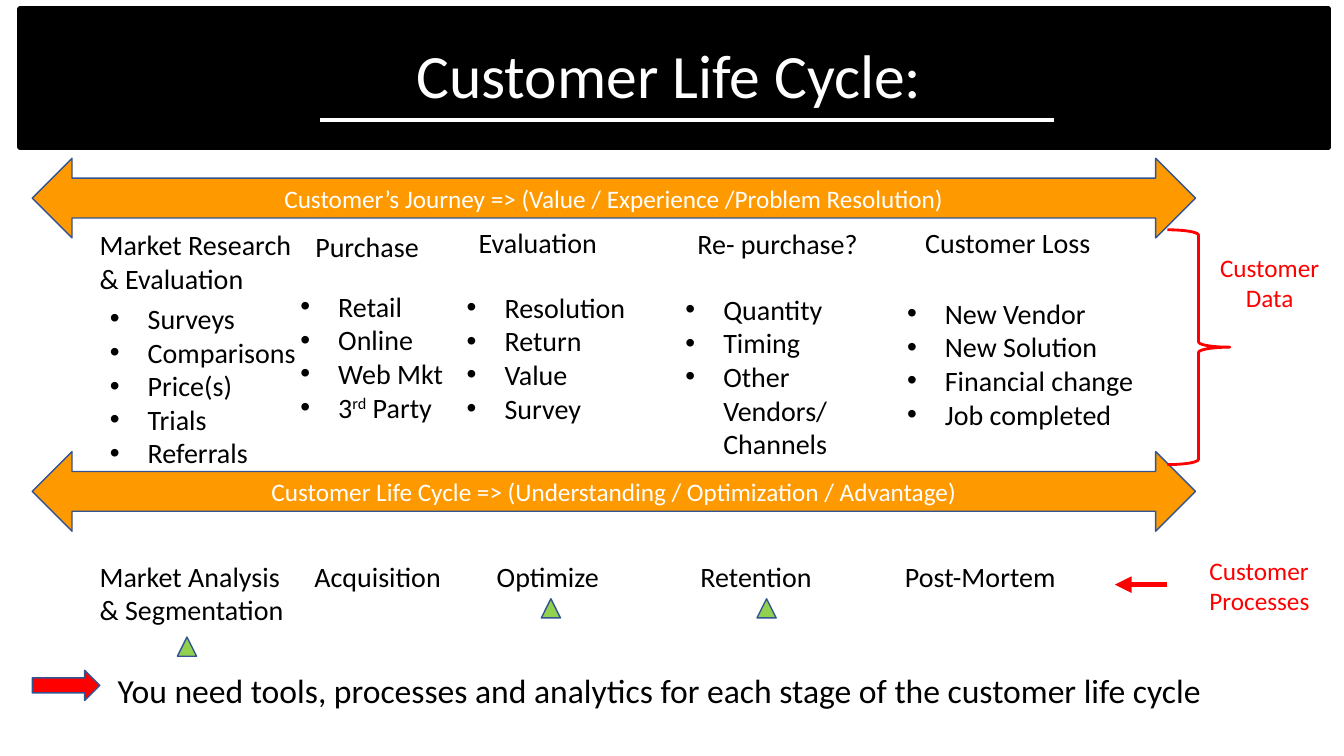
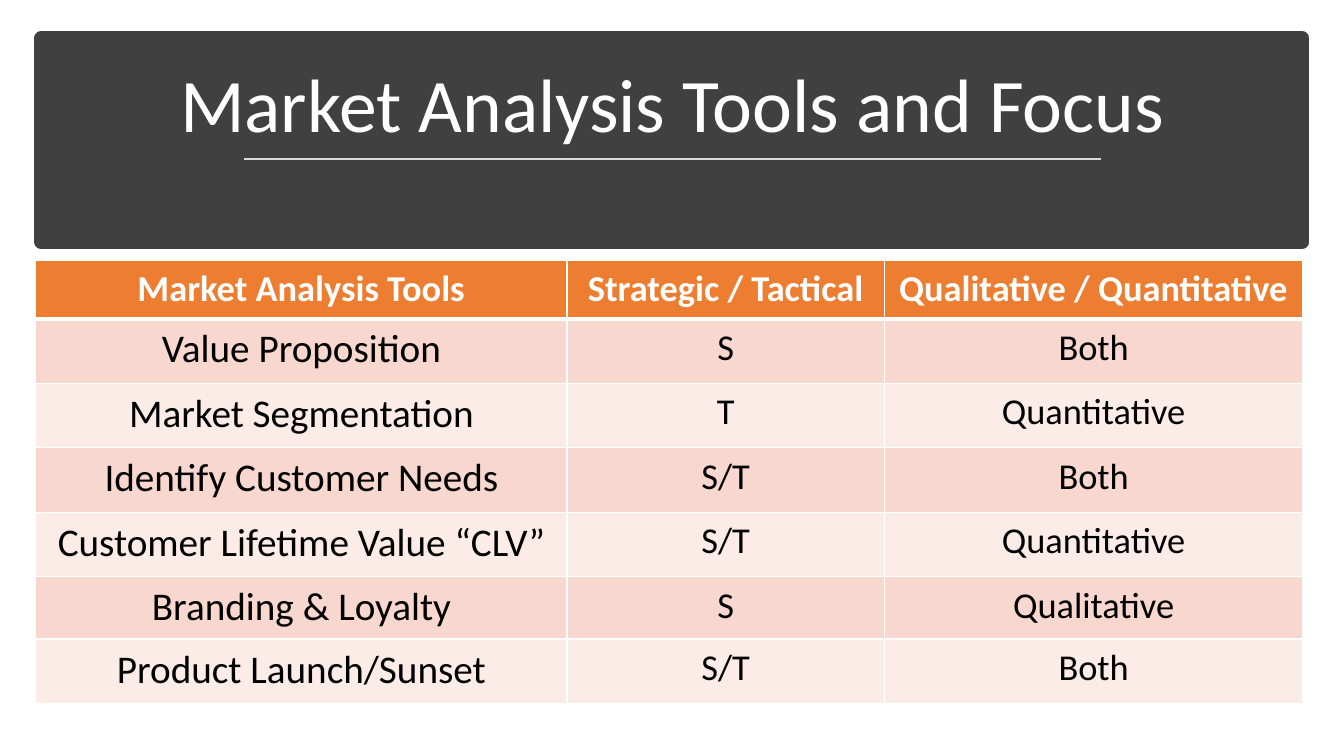
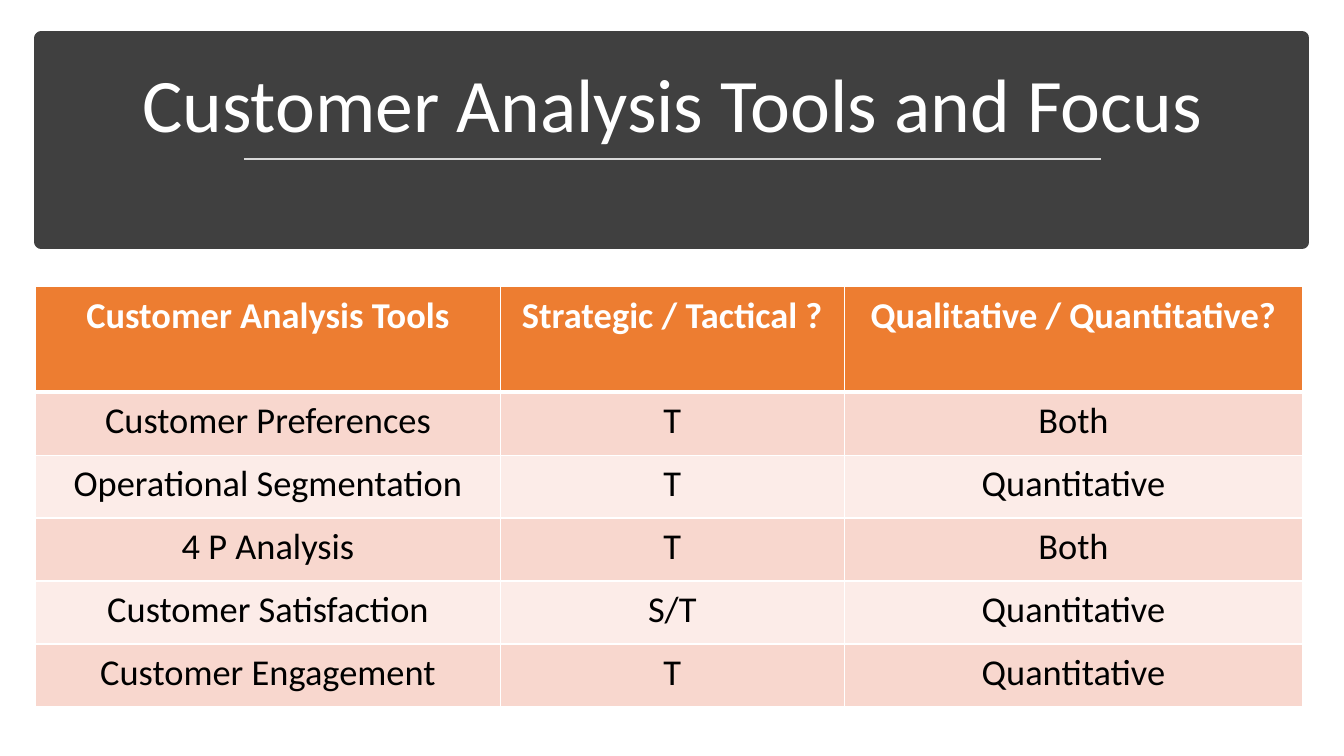
import typing

import pptx
import pptx.dml.color
import pptx.enum.shapes
import pptx.enum.text
import pptx.oxml.ns
import pptx.oxml.xmlchemy
import pptx.util
from lxml import etree

RGB = pptx.dml.color.RGBColor
SHAPE = pptx.enum.shapes.MSO_SHAPE
ALIGN = pptx.enum.text.PP_ALIGN
ANCHOR = pptx.enum.text.MSO_ANCHOR
qn = pptx.oxml.ns.qn

BLACK = RGB(0x00, 0x00, 0x00)
WHITE = RGB(0xFF, 0xFF, 0xFF)
CHARCOAL = RGB(0x40, 0x40, 0x40)
SILVER = RGB(0xD9, 0xD9, 0xD9)
AMBER = RGB(0xFF, 0x99, 0x00)
OUTLINE = RGB(0x32, 0x54, 0x91)
RED = RGB(0xFF, 0x00, 0x00)
GREEN = RGB(0x92, 0xD0, 0x50)
HEADER = RGB(0xED, 0x7D, 0x31)
BANDS = (RGB(0xF8, 0xD7, 0xCE), RGB(0xFC, 0xEC, 0xE8))

FONT = "Calibri"
GRID = 0.1  # inches per grid column and per grid row
COLUMNS, ROWS = 133.33, 75
COMPARISON, TITLE_ONLY = 4, 5
INDENT = 3.75


class TitleStyle(typing.NamedTuple):
    band: tuple
    band_color: RGB
    band_border: float
    title: tuple
    size: int
    anchor: ANCHOR
    space_after: int
    rule: tuple
    rule_color: RGB
    rule_weight: float


class Stage(typing.NamedTuple):
    """One step of the journey; each `at` is left, top, width."""
    heading: str
    heading_at: tuple
    details: list
    details_at: tuple
    phase: str
    phase_left: float


CYCLE_STYLE = TitleStyle((2, 0.9, 129.8, 13.7), BLACK, 4, (8.9, 4, 115, 7.9), 44,
                         ANCHOR.TOP, 0, (31.7, 11.9, 104.6, 11.9), WHITE, 2.75)
TOOLS_STYLE = TitleStyle((4.1, 3.8, 125.1, 20.2), CHARCOAL, 10, (5.8, 5.1, 121.8, 10.2), 54,
                         ANCHOR.BOTTOM, 6, (24.2, 15.8, 109.2, 15.8), SILVER, 1.75)

STAGES = [
    Stage("Market Research\n& Evaluation", (8.9, 22.1, 21.4),
          ["Surveys", "Comparisons", "Price(s)", "Trials", "Referrals"], (9.9, 29.4, 21.9),
          "Market Analysis\n& Segmentation", 8.9),
    Stage("Purchase", (30.3, 22.3, 14.7),
          ["Retail", "Online", "Web Mkt", "3^rd^ Party"], (28.8, 28.2, 18),
          "Acquisition", 30.2),
    Stage("Evaluation", (46.5, 21.9, 14.7),
          ["Resolution", "Return", "Value", "Survey"], (45.3, 28.3, 18),
          "Optimize", 48.3),
    Stage("Re- purchase?", (68.2, 22, 18),
          ["Quantity", "Timing", "Other Vendors/", "+Channels"], (67, 28.5, 20.3),
          "Retention", 68.5),
    Stage("Customer Loss", (90.8, 21.9, 21.4),
          ["New Vendor", "New Solution", "Financial change", "Job completed"], (89, 28.9, 25.5),
          "Post-Mortem", 88.8),
]

MARKET_TOOLS = [
    ("Market Analysis Tools", "Strategic / Tactical", "Qualitative / Quantitative"),
    ("Value Proposition", "S", "Both"),
    ("Market Segmentation", "T", "Quantitative"),
    ("Identify Customer Needs", "S/T", "Both"),
    ("Customer Lifetime Value “CLV”", "S/T", "Quantitative"),
    ("Branding & Loyalty", "S", "Qualitative"),
    ("Product Launch/Sunset", "S/T", "Both"),
]
CUSTOMER_TOOLS = [
    ("Customer Analysis Tools", "Strategic / Tactical ?", "Qualitative / Quantitative?"),
    ("Customer Preferences", "T", "Both"),
    ("Operational Segmentation", "T", "Quantitative"),
    ("4 P Analysis", "T", "Both"),
    ("Customer Satisfaction", "S/T", "Quantitative"),
    ("Customer Engagement", "T", "Quantitative"),
]


def grid(*units):
    return [pptx.util.Inches(unit * GRID) for unit in units]


def style_runs(paragraph, size, color, bold=False):
    for run in paragraph.runs:
        run.font.name = FONT
        run.font.size = pptx.util.Pt(size)
        run.font.bold = bold
        run.font.color.rgb = color


def write(shape, text, size, color=BLACK, align=ALIGN.LEFT, anchor=ANCHOR.TOP):
    frame = shape.text_frame
    frame.word_wrap = True
    frame.auto_size = pptx.enum.text.MSO_AUTO_SIZE.NONE
    frame.vertical_anchor = anchor
    frame.text = text
    for paragraph in frame.paragraphs:
        paragraph.alignment = align
        paragraph.space_before = pptx.util.Pt(0)
        style_runs(paragraph, size, color)


def move(shape, box):
    shape.left, shape.top, shape.width, shape.height = grid(*box)


def add_text(slide, box, text, size, color=BLACK, align=ALIGN.LEFT):
    write(slide.shapes.add_textbox(*grid(*box)), text, size, color, align)


def add_figure(slide, preset, box, fill, border=OUTLINE, weight=1):
    figure = slide.shapes.add_shape(preset, *grid(*box))
    figure.shadow.inherit = False
    if fill is None:
        figure.fill.background()
    else:
        figure.fill.solid()
        figure.fill.fore_color.rgb = fill
    figure.line.color.rgb = border
    figure.line.width = pptx.util.Pt(weight)
    return figure


def add_line(slide, ends, color, weight, arrow=False):
    line = slide.shapes.add_connector(pptx.enum.shapes.MSO_CONNECTOR.STRAIGHT, *grid(*ends))
    line.line.color.rgb = color
    line.line.width = pptx.util.Pt(weight)
    if arrow:
        etree.SubElement(line.get_or_add_ln(), qn("a:tailEnd"), type="triangle")
    etree.SubElement(line.element.spPr, qn("a:effectLst"))


def add_titled_slide(deck, layout, text, style):
    slide = deck.slides.add_slide(deck.slide_layouts[layout])
    title = slide.shapes.title
    move(title, style.title)
    write(title, text, style.size, WHITE, ALIGN.CENTER, style.anchor)
    title.text_frame.paragraphs[0].line_spacing = 0.9
    title.text_frame.paragraphs[0].space_after = pptx.util.Pt(style.space_after)
    band = add_figure(slide, SHAPE.RECTANGLE, style.band, style.band_color,
                      style.band_color, style.band_border)
    title.element.addprevious(band.element)
    add_line(slide, style.rule, style.rule_color, style.rule_weight)
    return slide


def write_list(shape, items):
    """Bulleted list; a leading + continues the item above, ^ encloses a superscript."""
    write(shape, "\n".join(items), 20)
    indent = grid(INDENT)[0]
    for paragraph, item in zip(shape.text_frame.paragraphs, items):
        continued = item.startswith("+")
        paragraph.text = ""
        for number, part in enumerate(item.lstrip("+").split("^")):
            run = paragraph.add_run()
            run.text = part
            if number % 2:
                run.font._element.set("baseline", "30000")
        style_runs(paragraph, 20, BLACK)
        properties = paragraph._p.get_or_add_pPr()
        properties.set("marL", str(indent))
        properties.set("indent", str(0 if continued else -indent))
        if continued:
            etree.SubElement(properties, qn("a:buNone"))
        else:
            etree.SubElement(properties, qn("a:buFont"), typeface="Arial")
            etree.SubElement(properties, qn("a:buChar"), char="•")


def add_stages(slide):
    bodies = [holder for holder in slide.placeholders if holder.placeholder_format.idx > 0]
    for number, stage in enumerate(STAGES):
        add_text(slide, (*stage.heading_at, 7.7), stage.heading, 20)
        add_text(slide, (stage.phase_left, 55, 21.4, 7.7), stage.phase, 20)
        box = (*stage.details_at, 17.8)
        if number < len(bodies):
            details = bodies[number]
            move(details, box)
        else:
            details = slide.shapes.add_textbox(*grid(*box))
        write_list(details, stage.details)


def add_cycle_slide(deck):
    slide = add_titled_slide(deck, COMPARISON, "Customer Life Cycle:", CYCLE_STYLE)
    for top, message in (
            (15.7, "Customer’s Journey => (Value / Experience /Problem Resolution)"),
            (44.8, "Customer Life Cycle => (Understanding / Optimization / Advantage)")):
        journey = add_figure(slide, SHAPE.LEFT_RIGHT_ARROW, (3.2, top, 115.4, 7.9), AMBER)
        write(journey, message, 18, WHITE, ALIGN.CENTER, ANCHOR.MIDDLE)
    add_stages(slide)

    add_figure(slide, SHAPE.RIGHT_BRACE, (115.8, 22.8, 6.2, 23.3), None, RED, 2)
    add_text(slide, (119.5, 24.5, 12.9, 7.1), "Customer\nData", 18, RED, ALIGN.CENTER)
    add_line(slide, (115.8, 58, 110.6, 58), RED, 4, arrow=True)
    add_text(slide, (119, 54.6, 12.9, 7.1), "Customer\nProcesses", 18, RED)
    for left, top in ((17.6, 63.2), (53.7, 59.4), (75.1, 59.4)):
        add_figure(slide, SHAPE.ISOSCELES_TRIANGLE, (left, top, 1.9, 1.9), GREEN)

    add_figure(slide, SHAPE.RIGHT_ARROW, (3.2, 66.5, 6.7, 3), RED)
    add_text(slide, (10.7, 66, 112, 5), "You need tools, processes and analytics "
             "for each stage of the customer life cycle", 24)


def set_borders(cell, bottom):
    properties = cell._tc.get_or_add_tcPr()
    for side, weight in (("L", 1), ("R", 1), ("T", 1), ("B", bottom)):
        border = etree.SubElement(properties, qn("a:ln" + side), w=str(pptx.util.Pt(weight)))
        fill = etree.SubElement(border, qn("a:solidFill"))
        etree.SubElement(fill, qn("a:srgbClr"), val=str(WHITE))


def fill_cell(cell, text, fill, size, header):
    set_borders(cell, 3 if header else 1)
    cell.fill.solid()
    cell.fill.fore_color.rgb = fill
    cell.margin_left = cell.margin_right = pptx.util.Inches(0.14)
    cell.margin_top = cell.margin_bottom = pptx.util.Inches(0.07)
    cell.text_frame.text = text
    paragraph = cell.text_frame.paragraphs[0]
    paragraph.alignment = ALIGN.CENTER
    style_runs(paragraph, size, WHITE if header else BLACK, header)


def add_tools_slide(deck, title, tools, top, widths, heights, tool_size):
    slide = add_titled_slide(deck, TITLE_ONLY, title, TOOLS_STYLE)
    table = slide.shapes.add_table(len(tools), len(widths),
                                   *grid(3.55, top, sum(widths), sum(heights))).table
    for column, width in zip(table.columns, grid(*widths)):
        column.width = width
    for row, height in zip(table.rows, grid(*heights)):
        row.height = height
    for r, entry in enumerate(tools):
        for c, text in enumerate(entry):
            fill = BANDS[(r - 1) % 2] if r else HEADER
            size = tool_size if r and c == 0 else 26
            fill_cell(table.cell(r, c), text, fill, size, header=r == 0)


def main():
    deck = pptx.Presentation()
    deck.slide_width, deck.slide_height = grid(COLUMNS, ROWS)
    add_cycle_slide(deck)
    add_tools_slide(deck, "Market Analysis Tools and Focus", MARKET_TOOLS, 25.8,
                    (52.7, 31.5, 41.5), (5.8, 6.4, 6.4, 6.4, 6.4, 6.2, 6.4), 28)
    add_tools_slide(deck, "Customer Analysis Tools and Focus", CUSTOMER_TOOLS, 28.4,
                    (46.1, 34.1, 45.5), (10.5, *[6.25] * 5), 26)
    deck.save("out.pptx")


if __name__ == "__main__":
    main()
